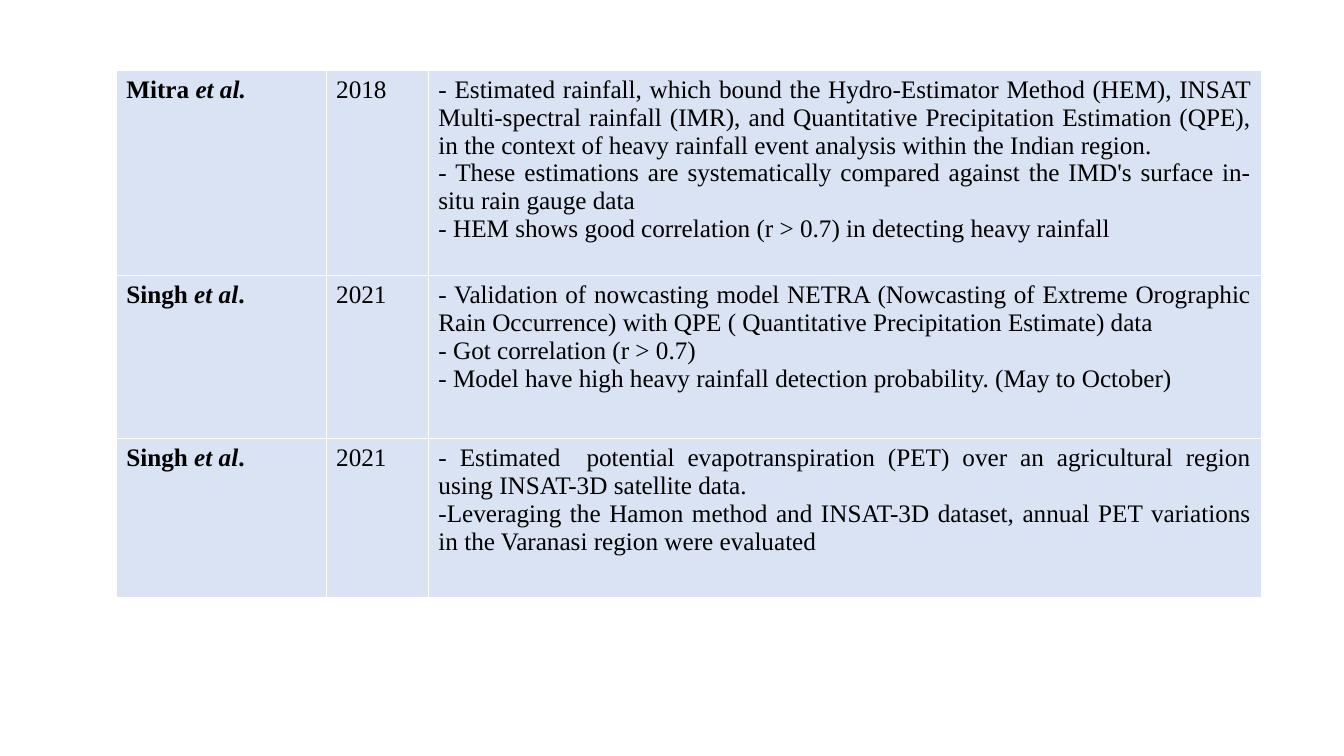
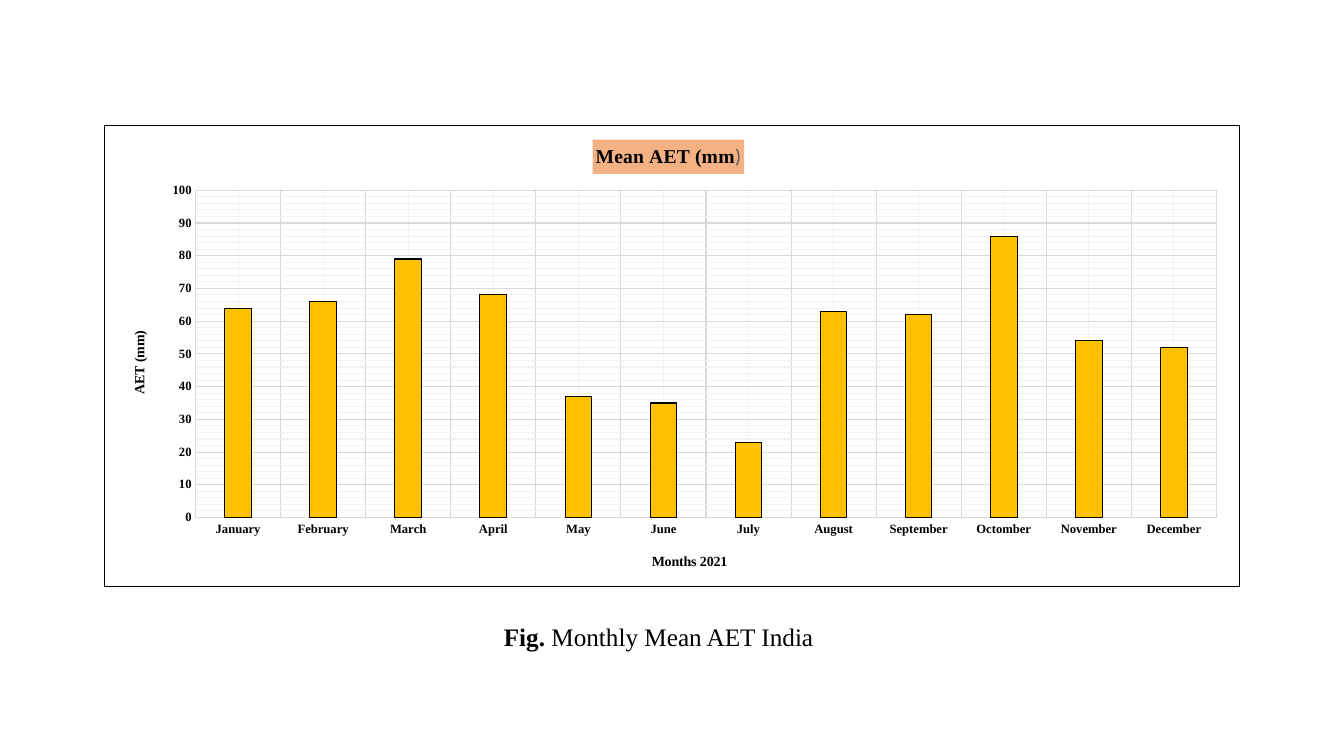
"""Build two slides: a table of earlier studies and a chart of monthly mean AET."""
from copy import deepcopy

from lxml import etree
from pptx import Presentation
from pptx.chart.data import CategoryChartData
from pptx.dml.color import RGBColor
from pptx.enum.chart import XL_CHART_TYPE, XL_TICK_MARK
from pptx.enum.text import PP_ALIGN
from pptx.oxml import parse_xml
from pptx.oxml.ns import nsdecls, qn
from pptx.util import Pt

COLUMN_CLUSTERED = XL_CHART_TYPE.COLUMN_CLUSTERED
NO_TICK = XL_TICK_MARK.NONE
CENTER, JUSTIFY = PP_ALIGN.CENTER, PP_ALIGN.JUSTIFY

BLACK = RGBColor(0x00, 0x00, 0x00)
PALE_BLUE = RGBColor(0xDA, 0xE3, 0xF3)
GOLD = RGBColor(0xFF, 0xC0, 0x00)
PEACH = RGBColor(0xF4, 0xB1, 0x83)
GRAY = RGBColor(0x59, 0x59, 0x59)
GRID = RGBColor(0xD9, 0xD9, 0xD9)
MINOR_GRID = RGBColor(0xF2, 0xF2, 0xF2)
SERIF = "Times New Roman"


def set_font(font, size, bold=None):
    font.name = SERIF
    font.size = Pt(size)
    font.color.rgb = BLACK
    if bold is not None:
        font.bold = bold


def place(element, **fractions):
    for old_layout in element.findall(qn("c:layout")):
        element.remove(old_layout)
    layout = etree.Element(qn("c:layout"))
    manual = etree.SubElement(layout, qn("c:manualLayout"))
    if "w" in fractions:
        etree.SubElement(manual, qn("c:layoutTarget")).set("val", "inner")
    for mode in ("xMode", "yMode"):
        etree.SubElement(manual, qn(f"c:{mode}")).set("val", "edge")
    for name, fraction in fractions.items():
        etree.SubElement(manual, qn(f"c:{name}")).set("val", str(fraction))
    element.insert(0 if element.find(qn("c:tx")) is None else 1, layout)


presentation = Presentation()
presentation.slide_width = Pt(960)
presentation.slide_height = Pt(540)
blank_layout = presentation.slide_layouts[6]

STUDIES = [
    ("Mitra ", "et al.", "", "2018", [
        "- Estimated rainfall, which bound the Hydro-Estimator Method (HEM), INSAT "
        "Multi-spectral rainfall (IMR), and Quantitative Precipitation Estimation (QPE), "
        "in the context of heavy rainfall event analysis within the Indian region.",
        "- These estimations are systematically compared against the IMD's surface "
        "in-situ rain gauge data",
        "- HEM shows good correlation (r > 0.7) in detecting heavy rainfall",
    ]),
    ("Singh ", "et al", ".", "2021", [
        "- Validation of nowcasting model NETRA (Nowcasting of Extreme Orographic Rain "
        "Occurrence) with QPE ( Quantitative Precipitation Estimate) data",
        "- Got correlation (r > 0.7)",
        "- Model have high heavy rainfall detection probability. (May to October)",
    ]),
    ("Singh ", "et al", ".", "2021", [
        "- Estimated  potential evapotranspiration (PET) over an agricultural region "
        "using INSAT-3D satellite data.",
        "-Leveraging the Hamon method and INSAT-3D dataset, annual PET variations in "
        "the Varanasi region were evaluated",
    ]),
]
COLUMN_WIDTHS = (150, 73, 595)
ROW_HEIGHTS = (146.5, 116.5, 113.5)

slide = presentation.slides.add_slide(blank_layout)
table = slide.shapes.add_table(
    len(STUDIES), len(COLUMN_WIDTHS), Pt(83), Pt(50.5),
    Pt(sum(COLUMN_WIDTHS)), Pt(sum(ROW_HEIGHTS))).table
table.horz_banding = False
for column, width in zip(table.columns, COLUMN_WIDTHS):
    column.width = Pt(width)

for row, height, study in zip(table.rows, ROW_HEIGHTS, STUDIES):
    row.height = Pt(height)
    author, et_al, stop, year, findings = study
    author_cell, year_cell, findings_cell = row.cells
    paragraph = author_cell.text_frame.paragraphs[0]
    for text, italic in ((author, False), (et_al, True), (stop, False)):
        if text:
            run = paragraph.add_run()
            run.text = text
            set_font(run.font, 18, True)
            run.font.italic = italic
    year_cell.text = year
    findings_cell.text = "\n".join(findings)
    for cell in row.cells:
        cell.fill.solid()
        cell.fill.fore_color.rgb = PALE_BLUE
    for cell in (year_cell, findings_cell):
        for paragraph in cell.text_frame.paragraphs:
            for run in paragraph.runs:
                set_font(run.font, 18, False)
    for paragraph in findings_cell.text_frame.paragraphs:
        paragraph.alignment = JUSTIFY

MONTHLY_AET = {
    "January": 64, "February": 66, "March": 79, "April": 68, "May": 37, "June": 35,
    "July": 23, "August": 63, "September": 62, "Octomber": 86, "November": 54,
    "December": 52,
}

slide = presentation.slides.add_slide(blank_layout)
chart_data = CategoryChartData()
chart_data.categories = list(MONTHLY_AET)
chart_data.add_series("Series 1", list(MONTHLY_AET.values()))
chart = slide.shapes.add_chart(
    COLUMN_CLUSTERED, Pt(74.5), Pt(89.5), Pt(811), Pt(330), chart_data).chart
chart.has_legend = False
chart.font.name = "Calibri"
chart.font.size = Pt(10)
chart.font.color.rgb = BLACK

chart_space = chart._chartSpace
chart_space.find(qn("c:chart")).addnext(parse_xml(
    f'<c:spPr {nsdecls("c", "a")}>'
    '<a:solidFill><a:srgbClr val="FFFFFF"/></a:solidFill>'
    f'<a:ln w="{Pt(0.75)}"><a:solidFill><a:srgbClr val="{BLACK}"/></a:solidFill></a:ln>'
    '</c:spPr>'))
place(chart_space.find(".//" + qn("c:plotArea")), x=0.08, y=0.14, w=0.9, h=0.71)

chart.has_title = True
chart_title = chart.chart_title
paragraph = chart_title.text_frame.paragraphs[0]
run = paragraph.add_run()
run.text = "Mean AET (mm"
set_font(run.font, 14, True)
run = paragraph.add_run()
run.text = ")"
run.font.size = Pt(14)
run.font.bold = False
run.font.color.rgb = GRAY
chart_title.format.fill.solid()
chart_title.format.fill.fore_color.rgb = PEACH
place(chart_title._element, x=0.43, y=0.03)

plot = chart.plots[0]
plot.gap_width = 219
plot.overlap = -27
plot.vary_by_categories = False
bars = plot.series[0].format
bars.fill.solid()
bars.fill.fore_color.rgb = GOLD
bars.line.color.rgb = BLACK
bars.line.width = Pt(0.75)

category_axis, value_axis = chart.category_axis, chart.value_axis
for axis, title, x, y in ((category_axis, "Months 2021", 0.48, 0.92),
                          (value_axis, "AET (mm)", 0.02, 0.44)):
    axis.has_title = True
    axis.axis_title.text_frame.text = title
    set_font(axis.axis_title.text_frame.paragraphs[0].runs[0].font, 10, True)
    place(axis.axis_title._element, x=x, y=y)
    set_font(axis.tick_labels.font, 9, True)
    axis.major_tick_mark = NO_TICK
    axis.minor_tick_mark = NO_TICK
    axis.has_major_gridlines = True
    axis.has_minor_gridlines = True
    grid_line = axis.major_gridlines.format.line
    grid_line.width = Pt(0.75)
    grid_line.color.rgb = MINOR_GRID
    major = axis._element.find(qn("c:majorGridlines"))
    minor = axis._element.find(qn("c:minorGridlines"))
    minor.append(deepcopy(major.find(qn("c:spPr"))))
    grid_line.color.rgb = GRID
category_axis.format.line.color.rgb = GRID
category_axis.format.line.width = Pt(0.75)
value_axis.format.line.fill.background()
value_axis.minimum_scale = 0
value_axis.maximum_scale = 100
value_axis.major_unit = 10
value_axis.minor_unit = 2

caption = slide.shapes.add_textbox(Pt(105), Pt(440), Pt(731), Pt(29))
caption.text_frame.word_wrap = True
paragraph = caption.text_frame.paragraphs[0]
paragraph.alignment = CENTER
for text, bold in (("Fig.", True), (" Monthly Mean AET India", False)):
    run = paragraph.add_run()
    run.text = text
    set_font(run.font, 18, bold)

presentation.save("out.pptx")
